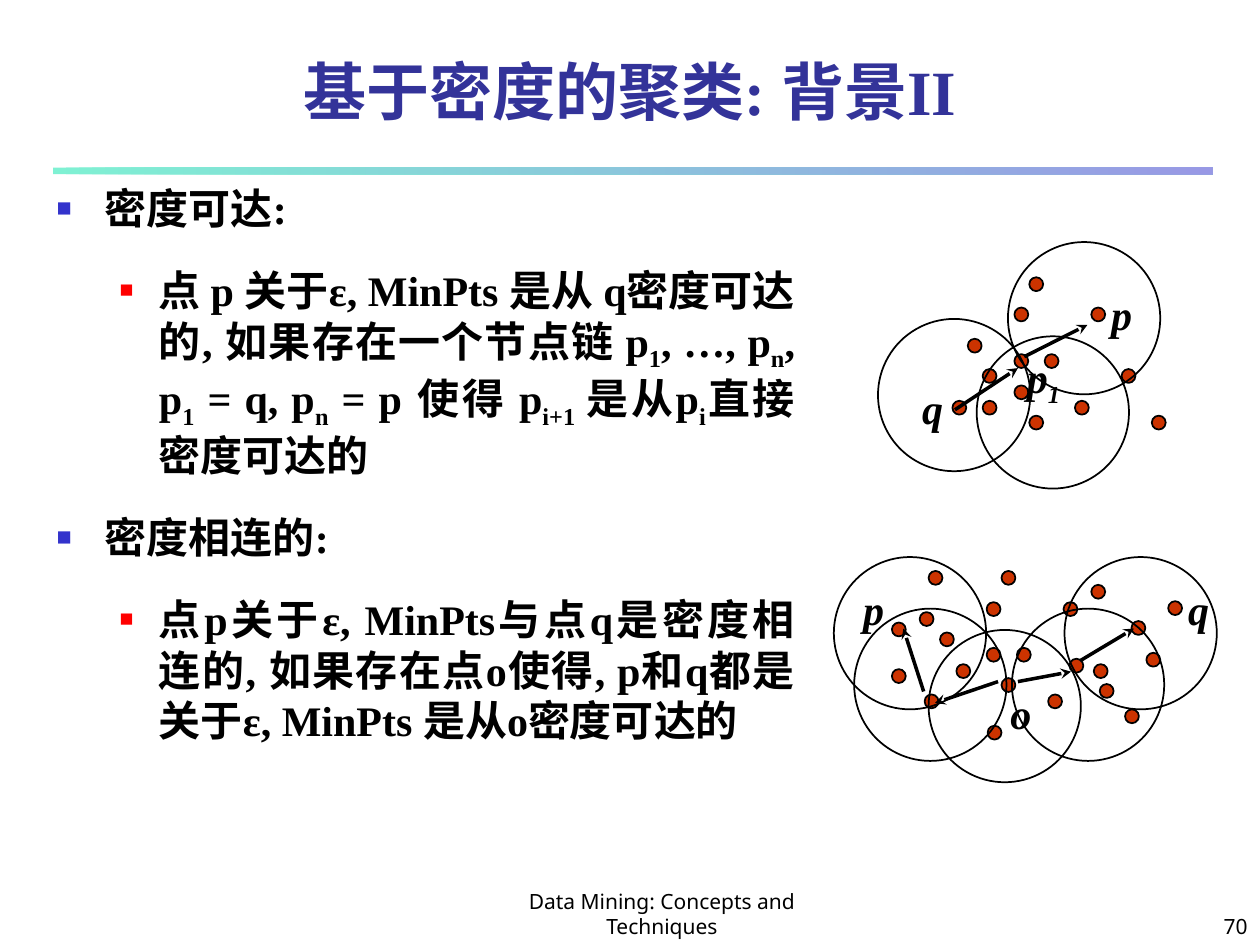
from lxml import etree
from pptx import Presentation
from pptx.dml.color import RGBColor
from pptx.enum.shapes import MSO_CONNECTOR, MSO_SHAPE
from pptx.enum.text import MSO_ANCHOR, MSO_AUTO_SIZE, PP_ALIGN
from pptx.oxml.ns import qn
from pptx.util import Cm, Pt

OVAL, RECTANGLE = MSO_SHAPE.OVAL, MSO_SHAPE.RECTANGLE
STRAIGHT = MSO_CONNECTOR.STRAIGHT
LEFT, CENTER, RIGHT, JUSTIFY = (
    PP_ALIGN.LEFT, PP_ALIGN.CENTER, PP_ALIGN.RIGHT, PP_ALIGN.JUSTIFY)
TOP, MIDDLE, BOTTOM = MSO_ANCHOR.TOP, MSO_ANCHOR.MIDDLE, MSO_ANCHOR.BOTTOM
NO_AUTOFIT = MSO_AUTO_SIZE.NONE

BLACK, DOT_RED = "000000", "CC3300"
DOT_SIZE, NEIGHBOURHOOD_SIZE = 0.28, 3.07

TITLE_FONT = {"name": "Times New Roman", "size": Pt(36), "bold": True}
BODY_FONT = {"name": "Times New Roman", "size": Pt(24), "bold": True, "italic": False}
LABEL_FONT = {**BODY_FONT, "italic": True}
FOOTER_FONT = {"name": "Noto Sans", "size": Pt(12)}

# Per outline level: left margin, hanging indent, bullet colour, bullet size in %
LEVELS = [(0.97, -0.97, "3333CC", 60), (2.06, -0.79, "FF0000", 55)]

# Text between bars is subscript
OUTLINE = [
    (0, "密度可达:"),
    (1, "点 p 关于ε, MinPts 是从 q密度可达的, 如果存在一个节点链 p|1|, …, p|n|, "
        "p|1| = q, p|n| = p 使得 p|i+1 |是从p|i|直接密度可达的"),
    (0, "密度相连的:"),
    (1, "点p关于ε, MinPts与点q是密度相连的, 如果存在点o使得, "
        "p和q都是关于ε, MinPts 是从o密度可达的"),
]

# Dots and neighbourhoods: left, top; arrows: start, tip; labels: text, left, top, width
REACHABLE = {
    "dots": [
        (19.51, 6.83), (20.45, 7.14), (20.45, 6.2), (19.2, 8.08), (19.81, 7.44),
        (19.81, 8.08), (20.75, 8.38), (20.75, 5.59), (22.61, 7.44), (22, 6.2),
        (20.45, 7.77), (21.06, 7.14), (21.67, 8.08), (23.22, 8.38)],
    "neighbourhoods": [(19.69, 6.78), (17.7, 6.43), (20.32, 4.88)],
    "arrows": [(20.65, 7.19, 21.92, 6.55), (19.25, 8.26, 20.52, 7.42)],
    "labels": [("p", 22.15, 5.69, 1.07), ("q", 18.34, 7.59, 1.07),
               ("p|1|", 20.45, 6.96, 1.7)],
}
CONNECTED = {
    "dots": [
        (18.95, 12.75), (19.89, 13.06), (19.89, 12.14), (18.64, 14), (19.28, 13.39),
        (19.91, 14.63), (20.19, 13.67), (20.19, 11.51), (22.05, 13.39), (21.44, 12.14),
        (17.98, 13.49), (20.5, 13.06), (21.13, 14), (22.68, 14.3), (23.11, 13.16),
        (21.56, 13.28), (22.17, 13.79), (23.55, 12.12), (22, 11.79), (22.81, 12.52),
        (18.54, 12.34), (17.98, 12.55), (18.72, 11.51)],
    "neighbourhoods": [(17.22, 12.27), (18.72, 12.7), (20.4, 12.27),
                       (21.46, 11.23), (16.81, 11.23)],
    "arrows": [(20.12, 13.74, 18.85, 14.17), (20.52, 13.74, 21.59, 13.54),
               (18.62, 13.94, 18.21, 12.67), (21.79, 13.31, 22.86, 12.67)],
    "labels": [("p", 17.15, 11.63, 1.07), ("q", 23.7, 11.63, 1.07),
               ("o", 20.12, 13.74, 1.07)],
}


def rgb(value):
    return RGBColor.from_string(value)


def apply(target, formats):
    for attribute, value in formats.items():
        setattr(target, attribute, value)


def place(shape, left, top, width, height):
    apply(shape, {"left": Cm(left), "top": Cm(top),
                  "width": Cm(width), "height": Cm(height)})


def write(paragraph, text, font, color=BLACK, align=LEFT):
    """Add text to the paragraph, setting every second part between bars as subscript."""
    paragraph.alignment = align
    for index, part in enumerate(text.split("|")):
        if not part:
            continue
        run = paragraph.add_run()
        run.text = part
        apply(run.font, font)
        run.font.color.rgb = rgb(color)
        if index % 2:
            run.font._element.set("baseline", "-25000")


def add_text(shapes, text, box, font, align=LEFT, anchor=TOP):
    textbox = shapes.add_textbox(*map(Cm, box))
    apply(textbox.text_frame, {"word_wrap": True, "vertical_anchor": anchor})
    write(textbox.text_frame.paragraphs[0], text, font, align=align)


def set_bullet(paragraph, level):
    margin, indent, color, size = LEVELS[level]
    properties = paragraph._p.get_or_add_pPr()
    properties.set("marL", str(Cm(margin)))
    properties.set("indent", str(Cm(indent)))
    bullet_color = etree.SubElement(properties, qn("a:buClr"))
    etree.SubElement(bullet_color, qn("a:srgbClr"), val=color)
    etree.SubElement(properties, qn("a:buSzPct"), val=str(size * 1000))
    etree.SubElement(properties, qn("a:buChar"), char="■")


def fill_title(title):
    place(title, 0, 0.89, 25.4, 1.88)
    apply(title.text_frame, {"vertical_anchor": MIDDLE, "auto_size": NO_AUTOFIT})
    write(title.text_frame.paragraphs[0], "基于密度的聚类: 背景II",
          TITLE_FONT, "333399", CENTER)


def fill_outline(body):
    place(body, 0.89, 3.56, 15.39, 14.22)
    frame = body.text_frame
    apply(frame, {"vertical_anchor": TOP, "auto_size": NO_AUTOFIT})
    for index, (level, text) in enumerate(OUTLINE):
        paragraph = frame.add_paragraph() if index else frame.paragraphs[0]
        apply(paragraph, {"level": level, "space_before": Pt(18)})
        set_bullet(paragraph, level)
        write(paragraph, text, BODY_FONT, align=JUSTIFY)


def add_title_rule(shapes):
    rule = shapes.add_shape(RECTANGLE, Cm(1.07), Cm(3.38), Cm(23.37), Cm(0.13))
    rule.shadow.inherit = False
    rule.line.fill.background()
    rule.fill.gradient()
    rule.fill.gradient_angle = 0
    for stop, color in zip(rule.fill.gradient_stops, ("00E4A8", "3333CC")):
        stop.color.rgb = rgb(color)
    for color in rule._element.spPr.iter(qn("a:srgbClr")):
        etree.SubElement(color, qn("a:alpha"), val="50000")


def add_circle(shapes, left, top, size, fill=None):
    circle = shapes.add_shape(OVAL, Cm(left), Cm(top), Cm(size), Cm(size))
    circle.shadow.inherit = False
    circle.line.color.rgb = rgb(BLACK)
    circle.line.width = Pt(1)
    if fill:
        circle.fill.solid()
        circle.fill.fore_color.rgb = rgb(fill)
    else:
        circle.fill.background()


def add_arrow(shapes, ends):
    arrow = shapes.add_connector(STRAIGHT, *map(Cm, ends))
    arrow.line.color.rgb = rgb(BLACK)
    arrow.line.width = Pt(2)
    etree.SubElement(arrow.line._get_or_add_ln(), qn("a:tailEnd"), type="stealth")
    etree.SubElement(arrow._element.spPr, qn("a:effectLst"))


def add_diagram(slide, diagram):
    shapes = slide.shapes.add_group_shape().shapes
    for left, top in diagram["dots"]:
        add_circle(shapes, left, top, DOT_SIZE, DOT_RED)
    for left, top in diagram["neighbourhoods"]:
        add_circle(shapes, left, top, NEIGHBOURHOOD_SIZE)
    for ends in diagram["arrows"]:
        add_arrow(shapes, ends)
    for text, left, top, width in diagram["labels"]:
        add_text(shapes, text, (left, top, width, 1.27), LABEL_FONT)


def main():
    presentation = Presentation()
    apply(presentation, {"slide_width": Cm(25.4), "slide_height": Cm(19.05)})
    slide = presentation.slides.add_slide(presentation.slide_layouts[1])
    add_title_rule(slide.shapes)
    add_text(slide.shapes, "Data Mining: Concepts and Techniques",
             (9.32, 17.98, 8.05, 1.07), FOOTER_FONT, CENTER, BOTTOM)
    add_text(slide.shapes, "70", (20.12, 17.98, 5.28, 1.07), FOOTER_FONT, RIGHT, BOTTOM)
    fill_title(slide.shapes.title)
    fill_outline(slide.placeholders[1])
    for diagram in (CONNECTED, REACHABLE):
        add_diagram(slide, diagram)
    presentation.save("out.pptx")


if __name__ == "__main__":
    main()
